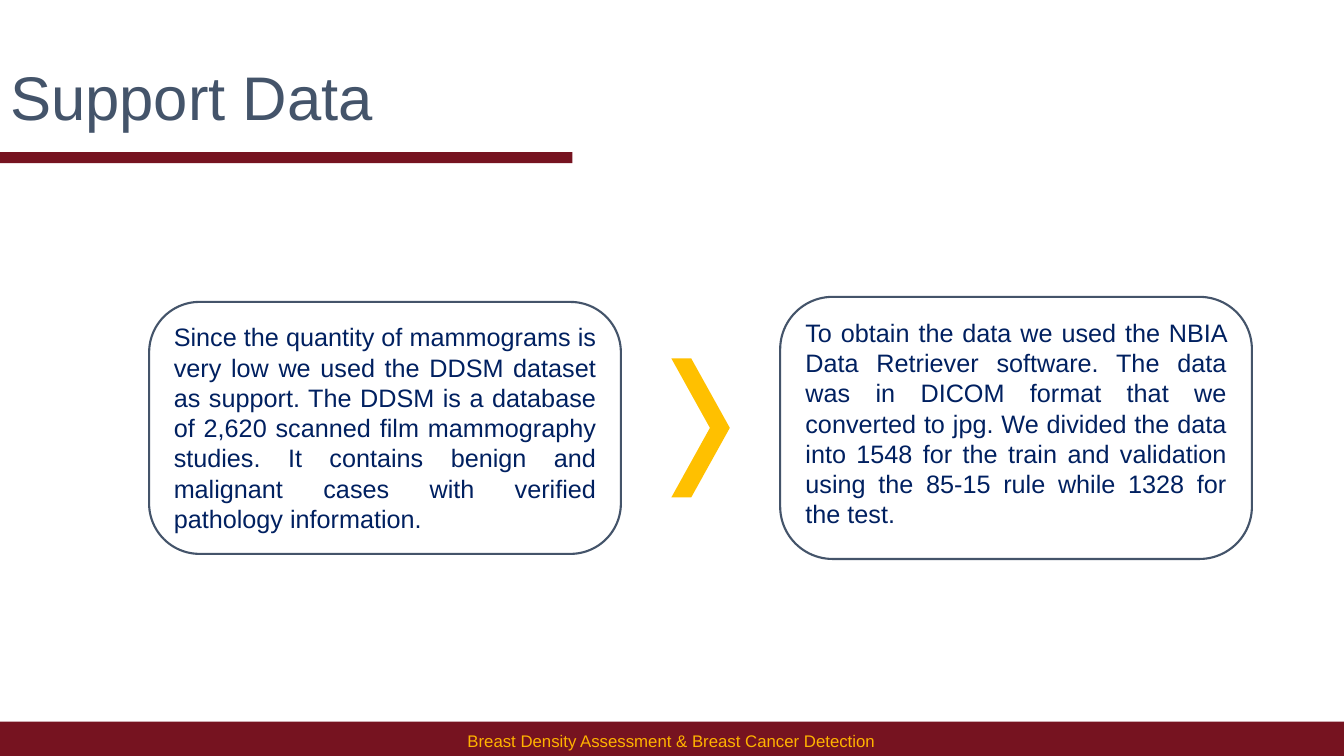
from dataclasses import dataclass

from pptx import Presentation
from pptx.dml.color import RGBColor
from pptx.enum.shapes import MSO_SHAPE as Shape
from pptx.enum.text import MSO_ANCHOR as Anchor, MSO_AUTO_SIZE as AutoSize, PP_ALIGN as Align
from pptx.slide import Slide
from pptx.util import Inches, Pt

MAROON = RGBColor(0x76, 0x13, 0x20)
SLATE = RGBColor(0x44, 0x54, 0x6A)
NAVY = RGBColor(0x00, 0x20, 0x60)
AMBER = RGBColor(0xFF, 0xB3, 0x00)
GOLD = RGBColor(0xFF, 0xC0, 0x00)
WHITE = RGBColor(0xFF, 0xFF, 0xFF)

CENTRE_ROW = 56.6
CARD_WIDTH = 35.1
CHEVRON_WIDTH = 4.35
GAP = 3.75

DATASET = (
    "Since the quantity of mammograms is very low we used the DDSM dataset as support. "
    "The DDSM is a database of 2,620 scanned film mammography studies. "
    "It contains benign and malignant cases with verified pathology information."
)
RETRIEVAL = (
    "To obtain the data we used the NBIA Data Retriever software. "
    "The data was in DICOM format that we converted to jpg. "
    "We divided the data into 1548 for the train and validation "
    "using the 85-15 rule while 1328 for the test."
)


@dataclass
class SlideBuilder:
    """Draws styled elements on a page, with lengths in percent of its size."""

    page: Slide
    width: int
    height: int
    font: str = "Arial"

    def place(self, left, top, width, height):
        """Turn percentages into slide lengths."""
        return [
            round(share * side / 100)
            for share, side in zip((left, top, width, height), (self.width, self.height) * 2)
        ]

    def set_text(self, box, text, size, color, frame_format, para_format):
        """Put one formatted paragraph in a box."""
        frame = box.text_frame
        frame.text = text
        for name, value in {"word_wrap": True, **frame_format}.items():
            setattr(frame, name, value)
        para = frame.paragraphs[0]
        for name, value in para_format.items():
            setattr(para, name, value)
        for name, value in {"name": self.font, "size": Pt(size), "bold": False}.items():
            setattr(para.font, name, value)
        para.font.color.rgb = color

    def title(self, text, *area):
        """Fill and move the title placeholder."""
        box = self.page.shapes.title
        for name, value in zip(("left", "top", "width", "height"), self.place(*area)):
            setattr(box, name, value)
        self.set_text(
            box, text, 44, SLATE,
            {"vertical_anchor": Anchor.MIDDLE, "auto_size": AutoSize.NONE},
            {"alignment": Align.LEFT, "line_spacing": 0.9},
        )

    def shape(self, kind, fill, *area, adjust=None):
        """Add a flat filled shape without outline."""
        shape = self.page.shapes.add_shape(kind, *self.place(*area))
        shape.shadow.inherit = False
        shape.fill.solid()
        shape.fill.fore_color.rgb = fill
        shape.line.fill.background()
        if adjust is not None:
            shape.adjustments[0] = adjust
        return shape

    def card(self, text, left, height):
        """Add a rounded card of justified text on the centre row."""
        card = self.shape(
            Shape.ROUNDED_RECTANGLE, WHITE,
            left, CENTRE_ROW - height / 2, CARD_WIDTH, height, adjust=0.2,
        )
        card.line.color.rgb = SLATE
        card.line.width = Pt(1.5)
        self.set_text(
            card, text, 18, NAVY,
            {"vertical_anchor": Anchor.TOP, "auto_size": AutoSize.SHAPE_TO_FIT_TEXT},
            {"alignment": Align.JUSTIFY, "space_after": Pt(6)},
        )

    def chevron(self, left, height):
        """Add the chevron between the cards."""
        self.shape(
            Shape.CHEVRON, GOLD,
            left, CENTRE_ROW - height / 2, CHEVRON_WIDTH, height, adjust=0.66,
        )

    def footer(self, text, *area):
        """Add the centred footer text."""
        box = self.page.shapes.add_textbox(*self.place(*area))
        self.set_text(
            box, text, 12, AMBER,
            {"vertical_anchor": Anchor.MIDDLE}, {"alignment": Align.CENTER},
        )


def main():
    """Build and save the deck."""
    deck = Presentation()
    deck.slide_width, deck.slide_height = Inches(13.33), Inches(7.5)
    page = deck.slides.add_slide(deck.slide_layouts[5])
    builder = SlideBuilder(page, deck.slide_width, deck.slide_height)

    builder.shape(Shape.RECTANGLE, MAROON, 0, 95.45, 100, 4.55)
    builder.shape(Shape.RECTANGLE, MAROON, 0, 20.13, 42.6, 1.47)
    builder.title("Support Data", 0, 4, 86.27, 18.53)
    builder.footer(
        "Breast Density Assessment & Breast Cancer Detection", 33.08, 96, 33.76, 4
    )

    first_left = 11.1
    chevron_left = first_left + CARD_WIDTH + GAP
    second_left = chevron_left + CHEVRON_WIDTH + GAP
    builder.card(DATASET, first_left, 33.33)
    builder.chevron(chevron_left, 18.4)
    builder.card(RETRIEVAL, second_left, 34.67)
    deck.save("out.pptx")


if __name__ == "__main__":
    main()
